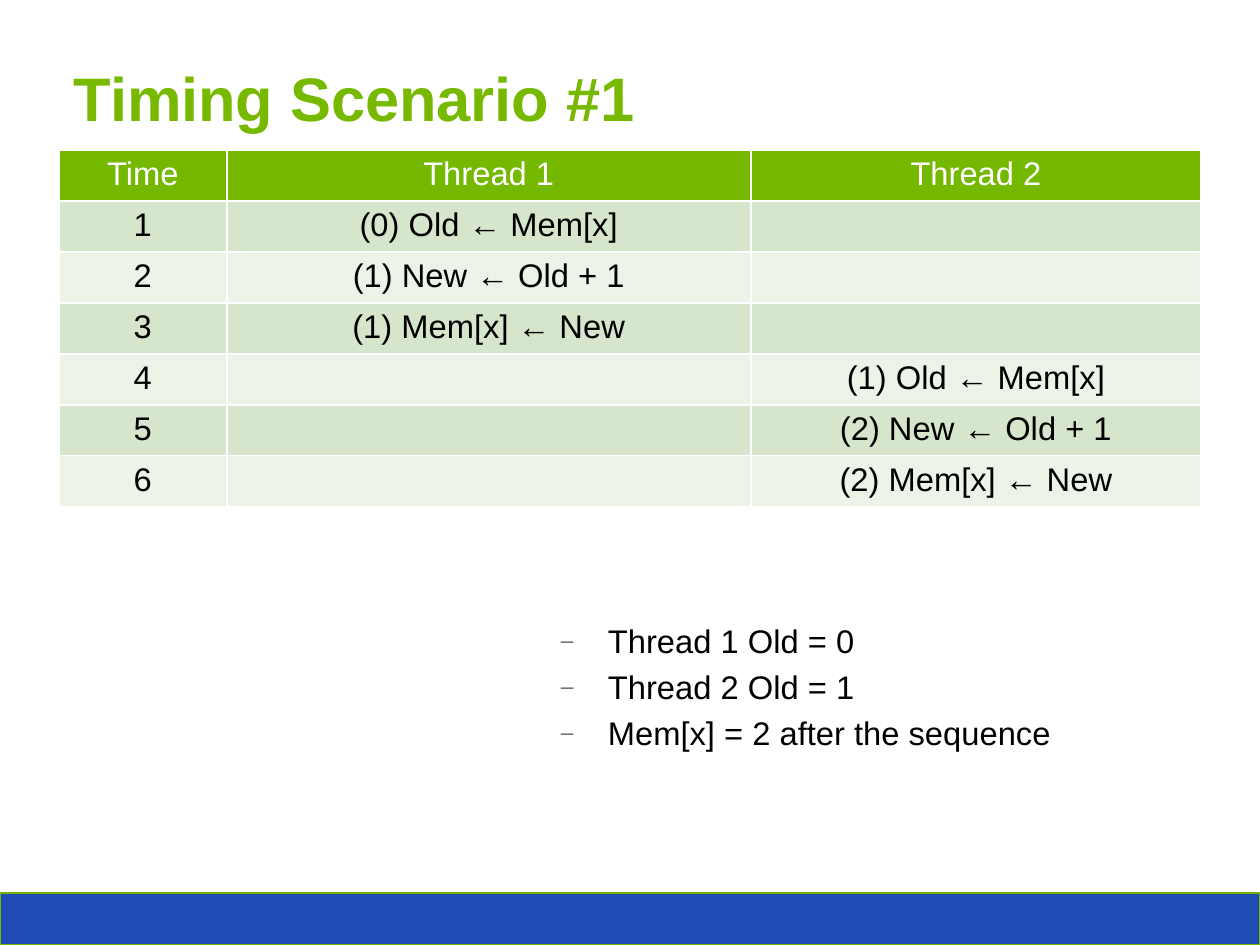
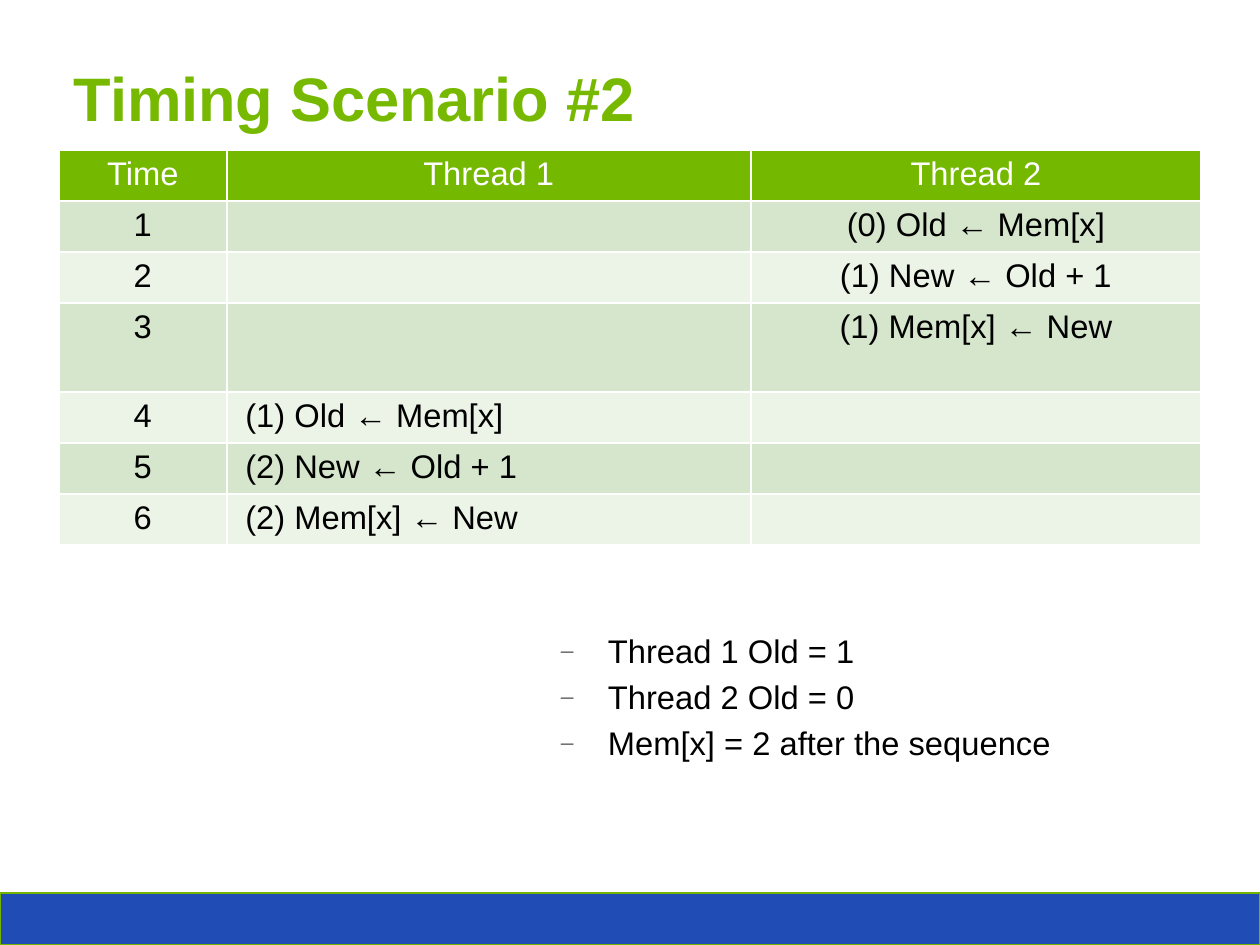
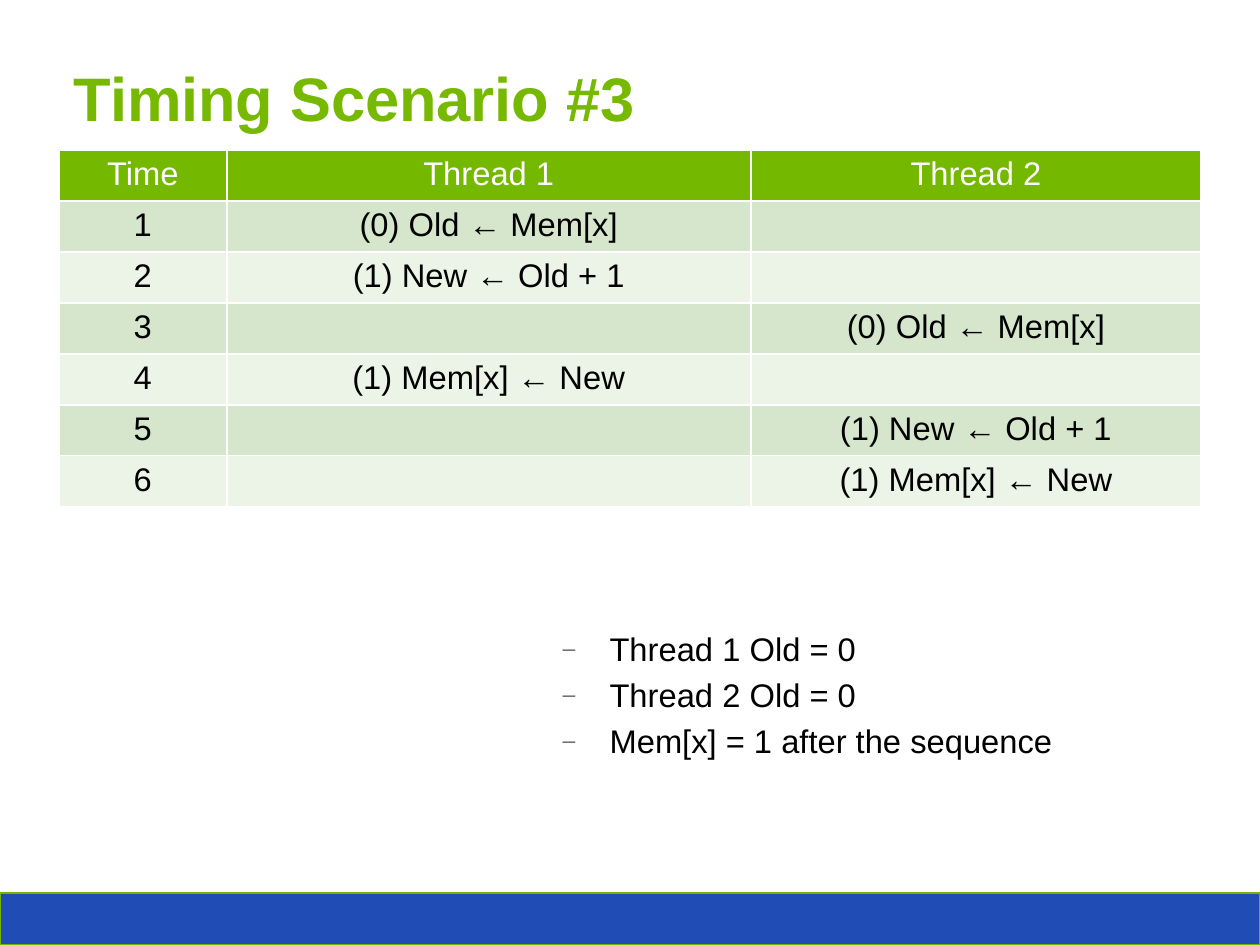
from lxml import etree
from pptx import Presentation
from pptx.dml.color import RGBColor
from pptx.enum import shapes, text
from pptx.oxml import ns
from pptx.util import Inches, Pt

BAND_BLUE = RGBColor(0x20, 0x4D, 0xB5)
BAND_EDGE = RGBColor(0x72, 0xB4, 0x00)
TITLE_GREEN = RGBColor(0x76, 0xB9, 0x00)
HEADER_GREEN = RGBColor(0x75, 0xB8, 0x00)
ROW_DARK = RGBColor(0xD6, 0xE6, 0xCC)
ROW_LIGHT = RGBColor(0xEC, 0xF3, 0xE7)
BULLET_GREY = RGBColor(0x6F, 0x6F, 0x6F)
WHITE = RGBColor(0xFF, 0xFF, 0xFF)
BLACK = RGBColor(0, 0, 0)

FONT = "Arial"
BODY_SIZE = Pt(14)
SLIDE_WIDTH = 7.5
SLIDE_HEIGHT = SLIDE_WIDTH * 3 / 4
BAND_HEIGHT = 0.31
COLUMN_WIDTHS = (1, 3.12, 2.68)
ROW_HEIGHT = 0.3
HEADERS = ("Time", "Thread 1", "Thread 2")
CENTER, LEFT = text.PP_ALIGN.CENTER, text.PP_ALIGN.LEFT

# Each step is (thread, operation), listed in order of time.
SCENARIOS = [
    {
        "steps": [(1, "(0) Old ← Mem[x]"), (1, "(1) New ← Old + 1"), (1, "(1) Mem[x] ← New"),
                  (2, "(1) Old ← Mem[x]"), (2, "(2) New ← Old + 1"), (2, "(2) Mem[x] ← New")],
        "results": ["Thread 1 Old = 0", "Thread 2 Old = 1", "Mem[x] = 2 after the sequence"],
        "results_at": (3.24, 3.64),
    },
    {
        "steps": [(2, "(0) Old ← Mem[x]"), (2, "(1) New ← Old + 1"), (2, "(1) Mem[x] ← New"),
                  (1, "(1) Old ← Mem[x]"), (1, "(2) New ← Old + 1"), (1, "(2) Mem[x] ← New")],
        "results": ["Thread 1 Old = 1", "Thread 2 Old = 0", "Mem[x] = 2 after the sequence"],
        "results_at": (3.24, 3.7),
        "thread_1_align": LEFT,
        "tall_rows": {3: 0.53},
    },
    {
        "steps": [(1, "(0) Old ← Mem[x]"), (1, "(1) New ← Old + 1"), (2, "(0) Old ← Mem[x]"),
                  (1, "(1) Mem[x] ← New"), (2, "(1) New ← Old + 1"), (2, "(1) Mem[x] ← New")],
        "results": ["Thread 1 Old = 0", "Thread 2 Old = 0", "Mem[x] = 1 after the sequence"],
        "results_at": (3.25, 3.69),
    },
]


def add_child(parent, tag, **attributes):
    return etree.SubElement(parent, ns.qn(tag), attributes)


def format_runs(paragraph, size, color, bold=False):
    for run in paragraph.runs:
        run.font.name = FONT
        run.font.size = size
        run.font.bold = bold
        run.font.color.rgb = color


def add_text_frame(slide, left, top, width, height, margin_top):
    box = slide.shapes.add_textbox(Inches(left), Inches(top), Inches(width), Inches(height))
    frame = box.text_frame
    frame.word_wrap = True
    frame.margin_top = Inches(margin_top)
    frame.margin_bottom = 0
    return frame


def add_band(slide):
    band = slide.shapes.add_shape(
        shapes.MSO_SHAPE.RECTANGLE, 0, Inches(SLIDE_HEIGHT - BAND_HEIGHT),
        Inches(SLIDE_WIDTH), Inches(BAND_HEIGHT))
    band.shadow.inherit = False
    band.fill.solid()
    band.fill.fore_color.rgb = BAND_BLUE
    band.line.color.rgb = BAND_EDGE
    band.line.width = Pt(0.75)


def add_title(slide, title):
    frame = add_text_frame(slide, 0.34, 0.32, 6.82, 0.48, margin_top=0.04)
    frame.text = title
    format_runs(frame.paragraphs[0], Pt(26.3), TITLE_GREEN, bold=True)


def set_borders(cell):
    properties = cell._tc.get_or_add_tcPr()
    for side in ("a:lnL", "a:lnR", "a:lnT", "a:lnB"):
        line = add_child(properties, side, w=str(Pt(1)))
        fill = add_child(line, "a:solidFill")
        add_child(fill, "a:srgbClr", val=str(WHITE))


def fill_cell(cell, content, fill, color, alignment):
    cell.margin_left = cell.margin_right = Inches(0.11)
    cell.margin_top = Inches(0.04)
    cell.margin_bottom = Inches(0.03)
    set_borders(cell)
    cell.fill.solid()
    cell.fill.fore_color.rgb = fill
    paragraph = cell.text_frame.paragraphs[0]
    paragraph.alignment = alignment
    if content:
        paragraph.text = content
        format_runs(paragraph, BODY_SIZE, color)
    else:
        # An empty cell would otherwise grow to the default text size.
        paragraph._p.get_or_add_endParaRPr().set("sz", str(BODY_SIZE.centipoints))


def add_timing_table(slide, steps, thread_1_align=CENTER, tall_rows=None):
    rows = [HEADERS]
    for time, (thread, operation) in enumerate(steps, start=1):
        rows.append((str(time), operation if thread == 1 else "", operation if thread == 2 else ""))
    heights = [(tall_rows or {}).get(index, ROW_HEIGHT) for index in range(len(rows))]

    table = slide.shapes.add_table(
        len(rows), len(HEADERS), Inches(0.35), Inches(0.89),
        Inches(sum(COLUMN_WIDTHS)), Inches(sum(heights))).table
    table.first_row = table.horz_banding = False
    for column, width in zip(table.columns, COLUMN_WIDTHS):
        column.width = Inches(width)

    for row_index, (row, height) in enumerate(zip(rows, heights)):
        table.rows[row_index].height = Inches(height)
        is_header = row_index == 0
        fill = HEADER_GREEN if is_header else ROW_DARK if row_index % 2 else ROW_LIGHT
        for column_index, content in enumerate(row):
            alignment = thread_1_align if column_index == 1 and not is_header else CENTER
            fill_cell(table.cell(row_index, column_index), content, fill,
                      WHITE if is_header else BLACK, alignment)


def set_dash_bullet(paragraph):
    properties = paragraph._p.get_or_add_pPr()
    properties.set("marL", str(Inches(0.28)))
    properties.set("indent", str(-Inches(0.28)))
    color = add_child(properties, "a:buClr")
    add_child(color, "a:srgbClr", val=str(BULLET_GREY))
    add_child(properties, "a:buSzPct", val="70000")
    add_child(properties, "a:buFont", typeface=FONT)
    add_child(properties, "a:buChar", char="–")


def add_results(slide, lines, left, top):
    frame = add_text_frame(slide, left, top, 4.25, 1.37, margin_top=0.08)
    frame.text = "\n".join(lines)
    for paragraph in frame.paragraphs:
        paragraph.line_spacing = 0.9
        paragraph.space_before = paragraph.space_after = Pt(2.3)
        set_dash_bullet(paragraph)
        format_runs(paragraph, BODY_SIZE, BLACK)


def main():
    presentation = Presentation()
    presentation.slide_width = Inches(SLIDE_WIDTH)
    presentation.slide_height = Inches(SLIDE_HEIGHT)
    blank_layout = presentation.slide_layouts[6]
    for number, scenario in enumerate(SCENARIOS, start=1):
        slide = presentation.slides.add_slide(blank_layout)
        add_band(slide)
        add_title(slide, f"Timing Scenario #{number}")
        add_timing_table(slide, scenario["steps"], scenario.get("thread_1_align", CENTER),
                         scenario.get("tall_rows"))
        add_results(slide, scenario["results"], *scenario["results_at"])
    presentation.save("out.pptx")


if __name__ == "__main__":
    main()
